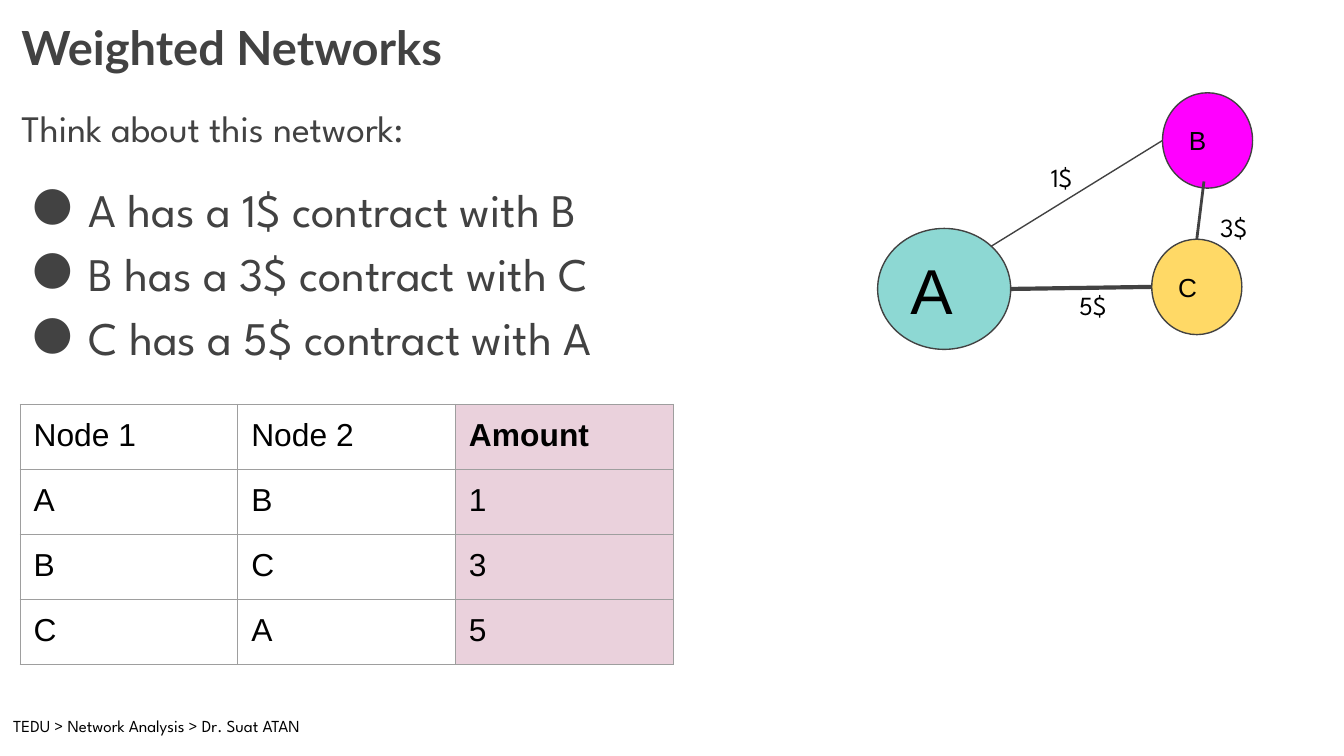
from lxml import etree
from pptx import Presentation
from pptx.dml.color import RGBColor
from pptx.enum.shapes import MSO_CONNECTOR, MSO_SHAPE
from pptx.enum.text import MSO_ANCHOR, PP_ALIGN
from pptx.oxml.ns import qn
from pptx.util import Inches, Pt

STRAIGHT = MSO_CONNECTOR.STRAIGHT
CIRCLE = MSO_SHAPE.FLOWCHART_CONNECTOR
TOP, MIDDLE = MSO_ANCHOR.TOP, MSO_ANCHOR.MIDDLE
LEFT = PP_ALIGN.LEFT

THEME = {
    "ink": "424242", "black": "000000", "border": "9E9E9E", "highlight": "EAD1DC",
    "border_width": 0.75, "inset": 0.1, "line_spacing": 1.15,
    "title": {"name": "Lato", "size": 25.2, "color": "424242", "bold": True},
    "intro": {"name": "League Spartan", "size": 20, "color": "424242"},
    "bullet": {"name": "League Spartan", "size": 25, "color": "424242"},
    "label": {"name": "League Spartan", "size": 14, "color": "000000"},
    "footer": {"name": "League Spartan", "size": 9, "color": "000000"},
    "large_node": {"name": "Arial", "size": 34, "color": "000000"},
    "node": {"name": "Arial", "size": 14, "color": "000000"},
    "cell": {"name": "Arial", "size": 17, "color": "000000", "bold": False},
    "header": {"name": "Arial", "size": 17, "color": "000000", "bold": True},
}

FOOTER = "TEDU > Network Analysis > Dr. Suat ATAN"
TITLE = "Weighted Networks"
INTRO = "Think about this network:"
BULLETS = [
    "A has a 1$ contract with B",
    "B has a 3$ contract with C",
    "C has a 5$ contract with A",
]
TABLE = [
    ("Node 1", "Node 2", "Amount"),
    ("A", "B", "1"),
    ("B", "C", "3"),
    ("C", "A", "5"),
]
TABLE_LEFT, TABLE_TOP, COLUMN_WIDTH, ROW_HEIGHT = 0.15, 3.01, 1.62, 0.48
NODES = {
    "A": ((6.53, 1.7, 0.99, 0.9), "8DD8D3", "large_node"),
    "C": ((8.57, 1.78, 0.67, 0.71), "FFD966", "node"),
    "B": ((8.65, 0.69, 0.67, 0.71), "FF00FF", "node"),
}
EDGES = [
    ("A", (0.85, 0.15), "B", (0, 0.5), 0.75, "1$", (7.72, 1.1, 0.45, 0.44)),
    ("B", (0.46, 0.93), "C", (0.5, 0), 1.5, "3$", (8.98, 1.47, 0.45, 0.44)),
    ("C", (0, 0.5), "A", (1, 0.5), 2.25, "5$", (7.93, 2.05, 0.52, 0.44)),
]


def color(value):
    return RGBColor.from_string(value)


def write(paragraph, text, style):
    run = paragraph.add_run()
    run.text = text
    for key, value in THEME[style].items():
        if key == "color":
            run.font.color.rgb = color(value)
        else:
            setattr(run.font, key, Pt(value) if key == "size" else value)


def prepare_frame(frame, anchor=TOP):
    inset = Inches(THEME["inset"])
    settings = {
        "word_wrap": True, "vertical_anchor": anchor, "margin_left": inset,
        "margin_right": inset, "margin_top": inset, "margin_bottom": inset,
    }
    for key, value in settings.items():
        setattr(frame, key, value)
    frame.paragraphs[0].alignment = LEFT
    return frame


def add_text_box(slide, box, text, style):
    shape = slide.shapes.add_textbox(*map(Inches, box))
    frame = prepare_frame(shape.text_frame)
    write(frame.paragraphs[0], text, style)
    return frame


def add_bullet(paragraph):
    properties = paragraph._p.get_or_add_pPr()
    properties.set("marL", str(Inches(0.5)))
    properties.set("indent", str(Inches(-0.42)))
    bullet_color = etree.SubElement(properties, qn("a:buClr"))
    etree.SubElement(bullet_color, qn("a:srgbClr"), val=THEME["ink"])
    etree.SubElement(properties, qn("a:buFont"), typeface=THEME["bullet"]["name"])
    etree.SubElement(properties, qn("a:buChar"), char="●")


def add_body(slide):
    frame = add_text_box(slide, (0.06, 0.63, 9.69, 4.55), INTRO, "intro")
    frame.paragraphs[0].line_spacing = THEME["line_spacing"]
    for index, text in enumerate(BULLETS):
        paragraph = frame.add_paragraph()
        add_bullet(paragraph)
        paragraph.line_spacing = THEME["line_spacing"]
        paragraph.space_before = Pt(0 if index else 12)
        write(paragraph, text, "bullet")


def add_node(slide, name):
    box, fill, style = NODES[name]
    shape = slide.shapes.add_shape(CIRCLE, *map(Inches, box))
    shape.shadow.inherit = False
    shape.fill.solid()
    shape.fill.fore_color.rgb = color(fill)
    shape.line.color.rgb = color(THEME["ink"])
    shape.line.width = Pt(THEME["border_width"])
    frame = prepare_frame(shape.text_frame, MIDDLE)
    write(frame.paragraphs[0], name, style)


def node_point(name, fractions):
    left, top, width, height = NODES[name][0]
    return Inches(left + fractions[0] * width), Inches(top + fractions[1] * height)


def add_edge(slide, start, start_at, end, end_at, weight, label, label_box):
    connector = slide.shapes.add_connector(
        STRAIGHT, *node_point(start, start_at), *node_point(end, end_at))
    connector.line.color.rgb = color(THEME["ink"])
    connector.line.width = Pt(weight)
    etree.SubElement(connector._element.spPr, qn("a:effectLst"))
    add_text_box(slide, label_box, label, "label")


def add_borders(cell):
    properties = cell._tc.get_or_add_tcPr()
    for index, side in enumerate(("lnL", "lnR", "lnT", "lnB")):
        line = etree.Element(qn(f"a:{side}"), w=str(Pt(THEME["border_width"])))
        fill = etree.SubElement(line, qn("a:solidFill"))
        etree.SubElement(fill, qn("a:srgbClr"), val=THEME["border"])
        properties.insert(index, line)


def add_table(slide):
    rows, columns = len(TABLE), len(TABLE[0])
    box = (TABLE_LEFT, TABLE_TOP, columns * COLUMN_WIDTH, rows * ROW_HEIGHT)
    table = slide.shapes.add_table(rows, columns, *map(Inches, box)).table
    table.first_row = table.horz_banding = False
    for column in table.columns:
        column.width = Inches(COLUMN_WIDTH)
    for row_index, values in enumerate(TABLE):
        table.rows[row_index].height = Inches(ROW_HEIGHT)
        for column_index, value in enumerate(values):
            cell = table.cell(row_index, column_index)
            is_amount = column_index == columns - 1
            for side in ("left", "right", "top", "bottom"):
                setattr(cell, f"margin_{side}", Inches(THEME["inset"]))
            if is_amount:
                cell.fill.solid()
                cell.fill.fore_color.rgb = color(THEME["highlight"])
            else:
                cell.fill.background()
            add_borders(cell)
            style = "header" if is_amount and row_index == 0 else "cell"
            write(cell.text_frame.paragraphs[0], value, style)


def main():
    presentation = Presentation()
    presentation.slide_width = Inches(10)
    presentation.slide_height = presentation.slide_width * 9 // 16
    slide = presentation.slides.add_slide(presentation.slide_layouts[6])
    add_text_box(slide, (0, 5.25, 2.88, 0.35), FOOTER, "footer")
    add_text_box(slide, (0.06, 0.04, 9.78, 0.56), TITLE, "title")
    add_body(slide)
    for name in NODES:
        add_node(slide, name)
    for edge in EDGES:
        add_edge(slide, *edge)
    add_table(slide)
    presentation.save("out.pptx")


if __name__ == "__main__":
    main()
